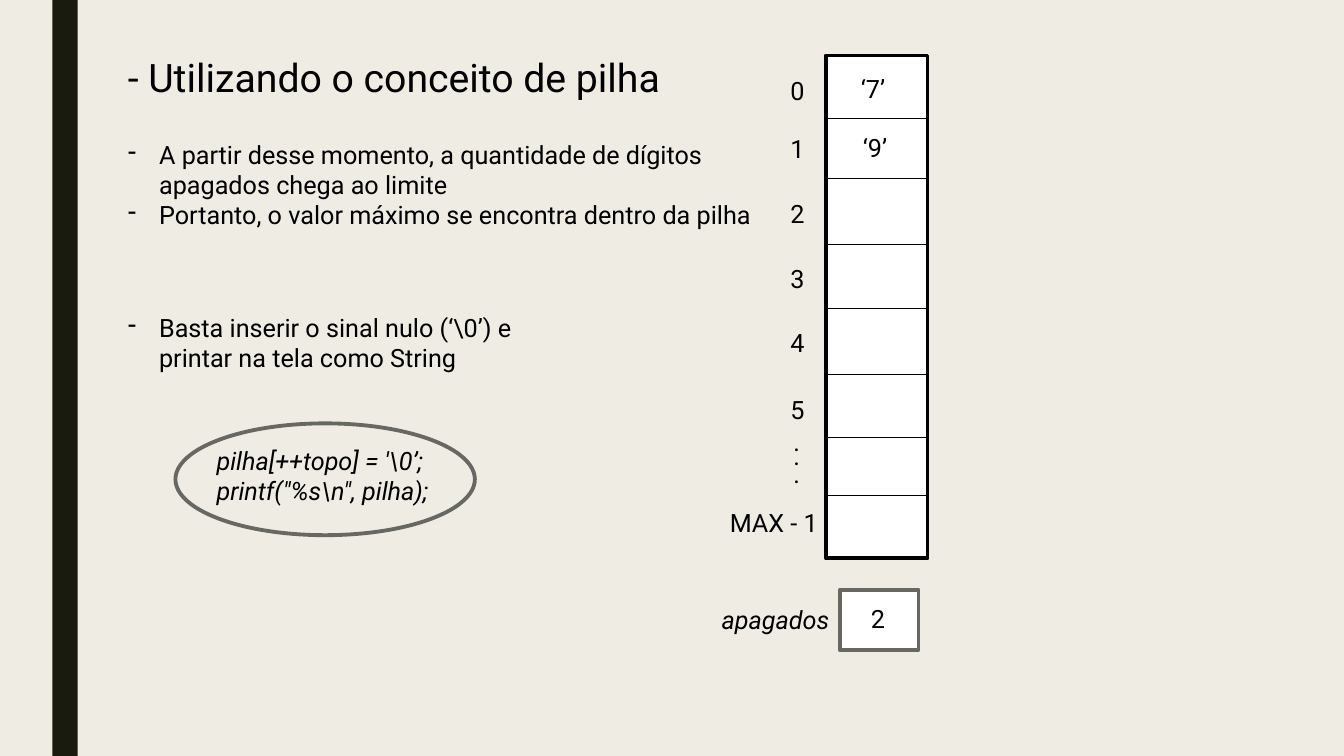
from pptx import Presentation
from pptx.dml.color import RGBColor
from pptx.enum.shapes import MSO_CONNECTOR, MSO_SHAPE
from pptx.oxml.ns import qn
from pptx.util import Inches, Pt
from lxml import etree

BLACK, WHITE, GRAY, PAPER, BAND = "000000", "FFFFFF", "686863", "EFEDE3", "191B0E"

prs = Presentation()
prs.slide_width, prs.slide_height = Inches(13.33), Inches(7.5)
s = prs.slides.add_slide(prs.slide_layouts[6])
s.background.fill.solid()
s.background.fill.fore_color.rgb = RGBColor.from_string(PAPER)


def add_box(kind, x, y, w, h, fill, line=None):
    sp = s.shapes.add_shape(kind, Inches(x), Inches(y), Inches(w), Inches(h))
    sp.shadow.inherit = False
    sp.fill.solid()
    sp.fill.fore_color.rgb = RGBColor.from_string(fill)
    if line:
        sp.line.color.rgb = RGBColor.from_string(line)
        sp.line.width = Pt(2.75)
    else:
        sp.line.fill.background()


def add_text(text, x, y, w, h=0.4, size=18, italic=False, bullet=False):
    tf = s.shapes.add_textbox(Inches(x), Inches(y), Inches(w), Inches(h)).text_frame
    tf.word_wrap = True
    tf.text = text
    for p in tf.paragraphs:
        for r in p.runs:
            r.font.name = "Roboto"
            r.font.size = Pt(size)
            r.font.italic = italic
            r.font.color.rgb = RGBColor.from_string(BLACK)
        if bullet:
            pPr = p._p.get_or_add_pPr()
            pPr.set("marL", str(Inches(0.31)))
            pPr.set("indent", str(-Inches(0.31)))
            etree.SubElement(pPr, qn("a:buChar")).set("char", "-")


# Side band
add_box(MSO_SHAPE.RECTANGLE, 0.52, 0, 0.25, 7.5, BAND)

# Title and bullets
add_text("- Utilizando o conceito de pilha", 1.17, 0.48, 5.5, 0.57, size=28)
add_text("A partir desse momento, a quantidade de dígitos apagados chega ao limite\n"
         "Portanto, o valor máximo se encontra dentro da pilha",
         1.17, 1.33, 6.66, 1.01, bullet=True)
add_text(r"Basta inserir o sinal nulo (‘\0’) e printar na tela como String",
         1.17, 3.05, 4.17, 1.01, bullet=True)

# Code in an ellipse
add_box(MSO_SHAPE.OVAL, 1.74, 4.2, 2.97, 1.11, PAPER, GRAY)
add_text("pilha[++topo] = '\\0’;\nprintf(\"%s\\n\", pilha);", 2.05, 4.37, 2.6, 0.7, italic=True)

# Stack with its dividers
left, width = 8.19, 1.01
add_box(MSO_SHAPE.RECTANGLE, left, 0.55, width, 4.99, WHITE, BLACK)
for y in (1.17, 1.77, 2.42, 3.06, 3.71, 4.34, 4.91):
    c = s.shapes.add_connector(MSO_CONNECTOR.STRAIGHT, Inches(left), Inches(y),
                               Inches(left + width), Inches(y))
    c.line.color.rgb = RGBColor.from_string(BLACK)
    c.line.width = Pt(0.5)
    etree.SubElement(c._element.spPr, qn("a:effectLst"))

# Stack indices
for i, y in enumerate((0.7, 1.27, 1.92, 2.56, 3.2, 3.86)):
    add_text(str(i), 7.74, y, 0.69)
for y in (4.18, 4.32, 4.5):
    add_text(".", 7.77, y, 0.69)
add_text("MAX - 1", 7.14, 4.98, 1.2)

# Stack values
add_text("‘7’", 8.44, 0.68, 0.69)
add_text("‘9’", 8.46, 1.26, 0.69)

# Deleted digits counter
add_text("apagados", 7.06, 5.95, 1.3, italic=True)
add_box(MSO_SHAPE.RECTANGLE, 8.33, 5.85, 0.78, 0.6, WHITE, GRAY)
add_text("2", 8.54, 5.94, 0.51)

prs.save("out.pptx")
